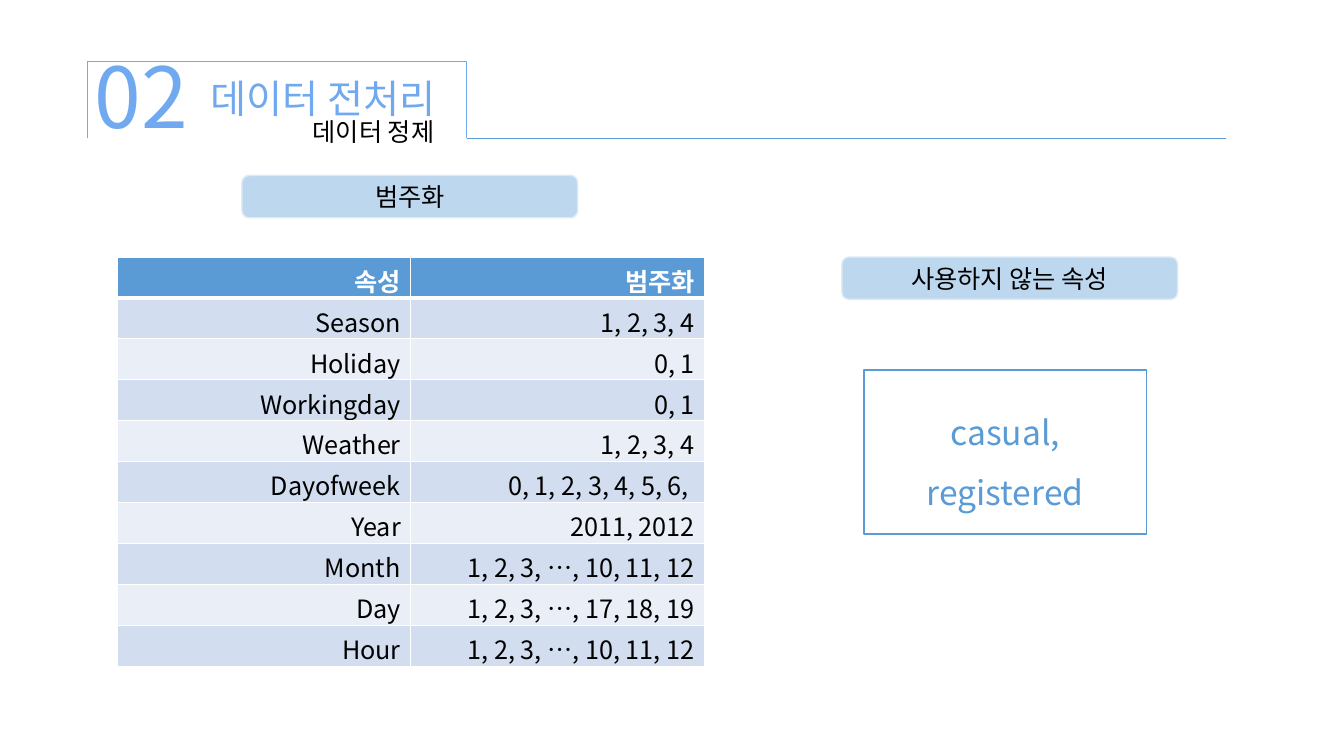
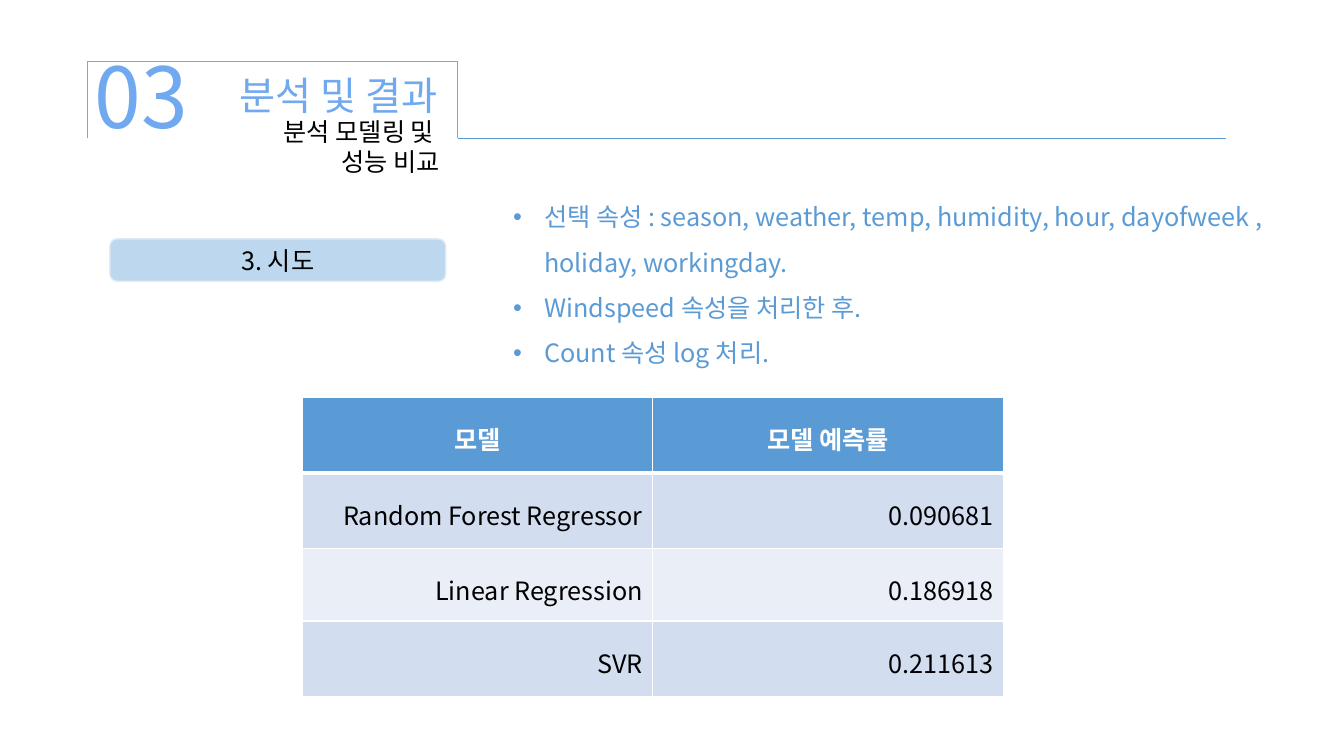
from pptx import Presentation
from pptx.dml.color import RGBColor
from pptx.enum.shapes import MSO_CONNECTOR, MSO_SHAPE
from pptx.enum.text import MSO_ANCHOR, MSO_AUTO_SIZE, PP_ALIGN
from pptx.oxml.ns import qn
from pptx.util import Inches, Pt
from lxml import etree

LEFT, CENTER, RIGHT = PP_ALIGN.LEFT, PP_ALIGN.CENTER, PP_ALIGN.RIGHT
TOP, MIDDLE = MSO_ANCHOR.TOP, MSO_ANCHOR.MIDDLE

FONT = "Noto Sans CJK KR"
BLACK, WHITE = "000000", "FFFFFF"
SKY, BLUE = "70A9F0", "5B9BD5"
LABEL_FILL, LABEL_LINE = "BDD7EE", "DEEBF7"
ROW_FILLS = ("D2DEEF", "EAEFF7")

TITLE_ONLY = 5
FRAME_LEFT, FRAME_TOP, FRAME_HEIGHT = 0.87, 0.61, 0.76
RULE_RIGHT = 12.16
LABEL_SIZE = (3.33, 0.42)


def color(value):
    return RGBColor.from_string(value)


def inches(box):
    return [Inches(value) for value in box]


def write_text(frame, text, size=18, fill=BLACK, bold=False, align=LEFT,
               spacing=None, bullet_indent=None):
    """Fill a text frame, one paragraph for each line of the text."""
    frame.text = text
    for paragraph in frame.paragraphs:
        paragraph.alignment = align
        if spacing:
            paragraph.line_spacing = spacing
        if bullet_indent:
            properties = paragraph._p.get_or_add_pPr()
            properties.set("marL", str(Inches(bullet_indent)))
            properties.set("indent", str(-Inches(bullet_indent)))
            etree.SubElement(properties, qn("a:buFont"), typeface="Arial")
            etree.SubElement(properties, qn("a:buChar"), char="•")
        for run in paragraph.runs:
            run.font.name = FONT
            run.font.size = Pt(size)
            run.font.bold = bold
            run.font.color.rgb = color(fill)
            etree.SubElement(run._r.get_or_add_rPr(), qn("a:ea"), typeface=FONT)


def add_text(slide, box, text, **text_format):
    frame = slide.shapes.add_textbox(*inches(box)).text_frame
    frame.word_wrap = True
    write_text(frame, text, **text_format)


def add_box(slide, kind, box, line, width=1, fill=None):
    shape = slide.shapes.add_shape(kind, *inches(box))
    shape.shadow.inherit = False
    if fill:
        shape.fill.solid()
        shape.fill.fore_color.rgb = color(fill)
    else:
        shape.fill.background()
    shape.line.color.rgb = color(line)
    shape.line.width = Pt(width)
    shape.text_frame.word_wrap = True
    shape.text_frame.vertical_anchor = MIDDLE
    return shape


def add_header(slide, number, title, subtitle, frame_width, title_box,
               subtitle_box, subtitle_align):
    """Section number, title and subtitle on an open frame with a rule."""
    # Open frame: a bracket turned to face down
    middle_x = FRAME_LEFT + frame_width / 2
    middle_y = FRAME_TOP + FRAME_HEIGHT / 2
    bracket = add_box(
        slide, MSO_SHAPE.RIGHT_BRACKET,
        (middle_x - FRAME_HEIGHT / 2, middle_y - frame_width / 2,
         FRAME_HEIGHT, frame_width), SKY, 0.5)
    bracket.adjustments[0] = 0
    bracket.rotation = 270

    # Rule from the frame to the right margin
    rule_y = FRAME_TOP + FRAME_HEIGHT
    rule = slide.shapes.add_connector(
        MSO_CONNECTOR.STRAIGHT,
        *inches((FRAME_LEFT + frame_width, rule_y, RULE_RIGHT, rule_y)))
    rule.line.color.rgb = color(BLUE)
    rule.line.width = Pt(0.5)
    etree.SubElement(rule._element.spPr, qn("a:effectLst"))

    # Texts
    placeholder = slide.shapes.title
    (placeholder.left, placeholder.top,
     placeholder.width, placeholder.height) = inches(title_box)
    frame = placeholder.text_frame
    frame.auto_size = MSO_AUTO_SIZE.NONE
    frame.vertical_anchor = TOP
    write_text(frame, title, size=28, fill=SKY, align=CENTER)
    add_text(slide, subtitle_box, subtitle, align=subtitle_align)
    add_text(slide, (0.84, 0.39, 2, 1.1), number, size=60, fill=SKY)


def add_label(slide, left, top, text):
    label = add_box(slide, MSO_SHAPE.ROUNDED_RECTANGLE,
                    (left, top, *LABEL_SIZE), LABEL_LINE, fill=LABEL_FILL)
    write_text(label.text_frame, text, align=CENTER)


def set_borders(cell, bottom):
    properties = cell._tc.get_or_add_tcPr()
    for side, width in (("L", 1), ("R", 1), ("T", 1), ("B", bottom)):
        line = etree.SubElement(properties, qn(f"a:ln{side}"), w=str(Pt(width)))
        solid = etree.SubElement(line, qn("a:solidFill"))
        etree.SubElement(solid, qn("a:srgbClr"), val=WHITE)


def add_data_table(slide, box, rows, row_heights, header_align, spacing=None):
    """Table with a blue header and banded, right-aligned rows."""
    table = slide.shapes.add_table(len(rows), len(rows[0]), *inches(box)).table
    for row, height in zip(table.rows, row_heights):
        row.height = Inches(height)
    for row_index, values in enumerate(rows):
        header = row_index == 0
        for column_index, value in enumerate(values):
            cell = table.cell(row_index, column_index)
            set_borders(cell, bottom=3 if header else 1)
            cell.fill.solid()
            cell.fill.fore_color.rgb = color(
                BLUE if header else ROW_FILLS[(row_index - 1) % 2])
            write_text(cell.text_frame, value, bold=header, spacing=spacing,
                       fill=WHITE if header else BLACK,
                       align=header_align if header else RIGHT)


def build_cleaning_slide(slide):
    add_header(slide, "02", "데이터 전처리", "데이터 정제", 3.76,
               (1.92, 0.69, 2.57, 0.57), (2.4, 1.1, 2.61, 0.4), CENTER)

    # Categories
    add_label(slide, 2.4, 1.74, "범주화")
    rows = [
        ("속성", "범주화"),
        ("Season", "1, 2, 3, 4"),
        ("Holiday", "0, 1"),
        ("Workingday", "0, 1"),
        ("Weather", "1, 2, 3, 4"),
        ("Dayofweek", "0, 1, 2, 3, 4, 5, 6, "),
        ("Year", "2011, 2012"),
        ("Month", "1, 2, 3, …, 10, 11, 12"),
        ("Day", "1, 2, 3, …, 17, 18, 19"),
        ("Hour", "1, 2, 3, …, 10, 11, 12"),
    ]
    height = 4.06
    add_data_table(slide, (1.16, 2.55, 5.83, height), rows,
                   [height / len(rows)] * len(rows), RIGHT)

    # Unused attributes
    add_label(slide, 8.35, 2.55, "사용하지 않는 속성")
    unused = add_box(slide, MSO_SHAPE.RECTANGLE, (8.57, 3.67, 2.8, 1.63), BLUE)
    write_text(unused.text_frame, "casual, registered", size=24, fill=BLUE,
               align=CENTER, spacing=1.5)


def build_model_slide(slide):
    add_header(slide, "03", "분석 및 결과", "분석 모델링 및 \n성능 비교", 3.67,
               (2.22, 0.66, 2.27, 0.57), (1.54, 1.1, 2.92, 0.71), RIGHT)

    # Attempt and its conditions
    add_label(slide, 1.09, 2.37, "3. 시도")
    conditions = (
        "선택 속성 : season, weather, temp, humidity, hour, dayofweek , "
        "holiday, workingday.",
        "Windspeed 속성을 처리한 후.",
        "Count 속성 log 처리.",
    )
    add_text(slide, (4.99, 1.8, 7.82, 1.87), "\n".join(conditions), fill=BLUE,
             spacing=1.5, bullet_indent=0.31)

    # Model scores
    rows = [
        ("모델", "모델 예측률"),
        ("Random Forest Regressor", "0.090681"),
        ("Linear Regression", "0.186918"),
        ("SVR", "0.211613"),
    ]
    add_data_table(slide, (3, 3.94, 6.95, 2.95), rows,
                   (0.75, 0.75, 0.72, 0.75), CENTER, spacing=1.5)


def main():
    presentation = Presentation()
    presentation.slide_width = Inches(13.33)
    presentation.slide_height = Inches(7.5)
    for build in (build_cleaning_slide, build_model_slide):
        build(presentation.slides.add_slide(
            presentation.slide_layouts[TITLE_ONLY]))
    presentation.save("out.pptx")


if __name__ == "__main__":
    main()
